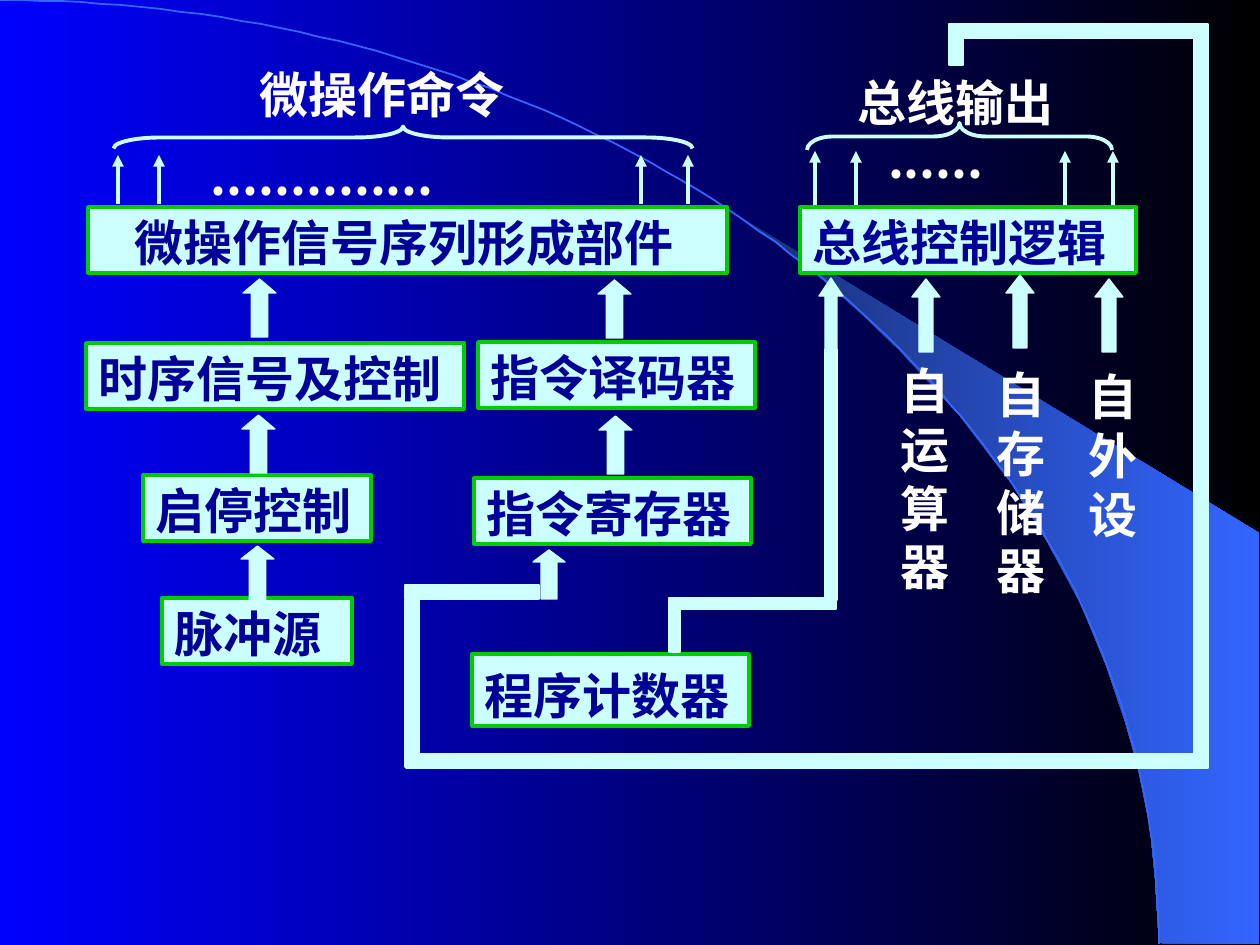
from math import cos, pi, sin

from lxml.etree import SubElement
from pptx import Presentation
from pptx.dml.color import RGBColor
from pptx.enum.shapes import MSO_CONNECTOR as Connector, MSO_SHAPE as Preset
from pptx.enum.text import MSO_ANCHOR as Anchor, PP_ALIGN as Align
from pptx.oxml.ns import qn
from pptx.util import Emu, Pt

EMU_PER_PX = 914400 / 126
WIDTH, HEIGHT = 1260, 945
BLUE = RGBColor(0x00, 0x00, 0xFF)
BLACK = RGBColor(0x00, 0x00, 0x00)
DEEP = RGBColor(0x18, 0x2F, 0x76)
SKY = RGBColor(0x33, 0x66, 0xFF)
PALE = RGBColor(0xCC, 0xFF, 0xFF)
GREEN = RGBColor(0x00, 0xCC, 0x00)
NAVY = RGBColor(0x00, 0x00, 0x99)
WHITE = RGBColor(0xFF, 0xFF, 0xFF)
SERIF, SANS = "Times New Roman", "Noto Sans CJK SC"

SWOOSH = [
    (1159, 943), (1259, 944), (1259, 533), (742, 218), (786, 251), (823, 280),
    (863, 315), (902, 353), (960, 416), (1012, 484), (1048, 543), (1081, 604),
    (1106, 665), (1125, 721), (1138, 767), (1150, 827), (1155, 877),
]
BOXES = [
    ("微操作信号序列形成部件", (88, 207, 639, 66), 2, 47, 6),
    ("时序信号及控制", (86, 343, 378, 66), 2, 13, 6),
    ("指令译码器", (478, 342, 277, 66), 2, 13, 6),
    ("启停控制", (143, 475, 228, 66), 2.25, 13, 6),
    ("指令寄存器", (474, 478, 277, 66), 2.25, 13, 6),
    ("脉冲源", (162, 598, 190, 66), 2.25, 13, 6),
    ("程序计数器", (472, 654, 277, 72), 2.25, 13, 12),
    ("总线控制逻辑", (800, 207, 336, 66), 2.25, 13, 6),
]
BLOCK_ARROWS = [
    ((243, 279, 33, 58), 14), ((598, 280, 33, 58), 14),
    ((242, 415, 33, 58), 14), ((599, 416, 33, 58), 14),
    ((241, 546, 33, 54), 13), ((533, 550, 32, 49), 12),
    ((912, 279, 28, 73), 18), ((1006, 275, 28, 73), 18),
    ((1095, 279, 28, 73), 18), ((819, 278, 24, 70), 18),
]
PIPES = [
    (825, 349, 12, 251), (679, 598, 157, 11), (669, 598, 11, 54),
    (949, 31, 14, 34), (949, 24, 245, 14), (1194, 24, 14, 735),
    (406, 754, 802, 14), (405, 600, 14, 167), (405, 585, 134, 14),
]
SIGNALS = [(x, 204, 155) for x in (118, 159, 641, 688)] + [
    (x, 205, 151) for x in (815, 856, 1065, 1113)]
BRACES = [((392, -152, 22, 579), 2.11), ((946, -16, 27, 305), 0.96)]
LABELS = [
    ("微操作命令", (247, 53, 296, 72), SANS),
    ("..............", (198, 135, 398, 72), SANS),
    ("总线输出", (845, 61, 256, 72), SANS),
    ("......", (875, 118, 181, 72), SANS),
    ("自运算器", (888, 349, 82, 248), SERIF),
    ("自存储器", (984, 353, 82, 248), SERIF),
    ("自外设", (1075, 355, 82, 189), SERIF),
]


def px(value):
    return Emu(round(value * EMU_PER_PX))


def write(shape, text, *, color, font=SERIF, left=13, top=12):
    frame = shape.text_frame
    frame.word_wrap = True
    frame.vertical_anchor = Anchor.TOP
    frame.margin_left, frame.margin_top = px(left), px(top)
    frame.margin_right, frame.margin_bottom = px(12), 0
    paragraph = frame.paragraphs[0]
    paragraph.alignment = Align.LEFT
    paragraph.line_spacing = Pt(33.5)
    run = paragraph.add_run()
    run.text = text
    run.font.name = font
    run.font.size = Pt(28)
    run.font.bold = True
    run.font.color.rgb = color
    SubElement(run._r.get_or_add_rPr(), qn("a:ea"), typeface=SANS)


def add_preset(slide, preset, place, *, fill=PALE, line=PALE, weight=0.75):
    shape = slide.shapes.add_shape(preset, *map(px, place))
    shape.shadow.inherit = False
    if fill is None:
        shape.fill.background()
    else:
        shape.fill.solid()
        shape.fill.fore_color.rgb = fill
    shape.line.color.rgb = line
    shape.line.width = Pt(weight)
    return shape


def add_box(slide, text, place, weight, left, top):
    box = add_preset(slide, Preset.RECTANGLE, place, line=GREEN, weight=weight)
    write(box, text, color=NAVY, left=left, top=top)


def add_label(slide, text, place, font):
    label = slide.shapes.add_textbox(*map(px, place))
    write(label, text, color=WHITE, font=font)


def add_block_arrow(slide, place, head):
    arrow = add_preset(slide, Preset.UP_ARROW, place)
    arrow.adjustments[0] = 0.5
    arrow.adjustments[1] = head / place[2]


def add_brace(slide, place, curve):
    brace = add_preset(slide, Preset.LEFT_BRACE, place, fill=None, weight=2.25)
    brace.adjustments[0] = curve
    brace.rotation = 90


def add_signal(slide, x, start, end):
    signal = slide.shapes.add_connector(
        Connector.STRAIGHT, px(x), px(start), px(x), px(end))
    signal.line.color.rgb = PALE
    signal.line.width = Pt(2.25)
    SubElement(signal.line._get_or_add_ln(), qn("a:tailEnd"), type="triangle")
    SubElement(signal._element.spPr, qn("a:effectLst"))


def set_gradient(fill, start, end):
    fill.gradient()
    fill.gradient_angle = 0
    for stop, color, position in zip(fill.gradient_stops, (start, end), (0, 1)):
        stop.color.rgb = color
        stop.position = position


def add_outline(slide, points, close):
    builder = slide.shapes.build_freeform(*points[0], scale=EMU_PER_PX)
    builder.add_line_segments(points[1:], close=close)
    outline = builder.convert_to_shape()
    outline.shadow.inherit = False
    return outline


def add_backdrop(slide):
    set_gradient(slide.background.fill, BLUE, BLACK)
    swoosh = add_outline(slide, SWOOSH, True)
    set_gradient(swoosh.fill, DEEP, SKY)
    swoosh.line.fill.background()
    angles = [pi / 2 * step / 90 for step in range(91)]
    curve = [(1159 * sin(a), 944 * (1 - cos(a))) for a in angles]
    arc = add_outline(slide, curve, False)
    arc.fill.background()
    arc.line.color.rgb = SKY
    arc.line.width = Pt(1)


def main():
    deck = Presentation()
    deck.slide_width, deck.slide_height = px(WIDTH), px(HEIGHT)
    slide = deck.slides.add_slide(deck.slide_layouts[6])
    add_backdrop(slide)
    for box in BOXES:
        add_box(slide, *box)
    for signal in SIGNALS:
        add_signal(slide, *signal)
    for brace in BRACES:
        add_brace(slide, *brace)
    for label in LABELS:
        add_label(slide, *label)
    for place in PIPES:
        add_preset(slide, Preset.RECTANGLE, place)
    for arrow in BLOCK_ARROWS:
        add_block_arrow(slide, *arrow)
    deck.save("out.pptx")


if __name__ == "__main__":
    main()
